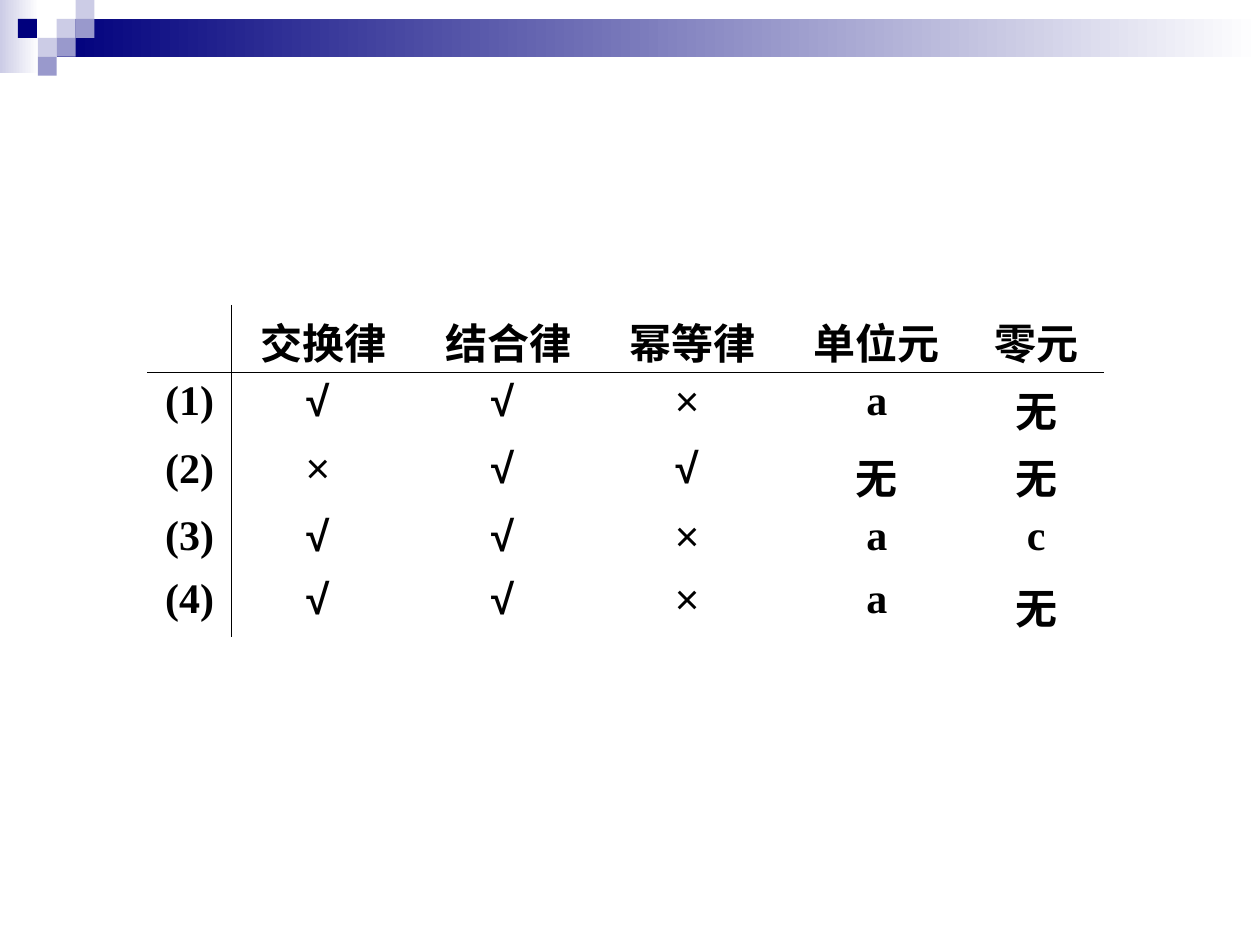
from lxml import etree
from pptx import Presentation
from pptx.dml.color import RGBColor
from pptx.enum.shapes import MSO_SHAPE
from pptx.enum.text import PP_ALIGN
from pptx.oxml.ns import qn
from pptx.util import Inches, Pt

RECTANGLE = MSO_SHAPE.RECTANGLE
CENTER = PP_ALIGN.CENTER
NAVY, LILAC, PALE, WHITE, BLACK = "00007D", "9999CC", "CCCCE6", "FFFFFF", "000000"
SQUARE = 0.15


def paint(color_format, color):
    color_format.rgb = RGBColor.from_string(color)


def add_block(left, top, width, height, *colors):
    block = slide.shapes.add_shape(
        RECTANGLE, Inches(left), Inches(top), Inches(width), Inches(height))
    block.shadow.inherit = False
    block.line.fill.background()
    if len(colors) == 1:
        block.fill.solid()
        paint(block.fill.fore_color, colors[0])
    else:
        block.fill.gradient()
        block.fill.gradient_angle = 0
        for stop, color in zip(block.fill.gradient_stops, colors):
            paint(stop.color, color)


deck = Presentation()
deck.slide_width, deck.slide_height = Inches(10), Inches(7.5)
slide = deck.slides.add_slide(deck.slide_layouts[6])

add_block(0, 0, 0.31, 0.58, PALE, WHITE)
add_block(3 * SQUARE, SQUARE, 10 - 3 * SQUARE, 2 * SQUARE, NAVY, WHITE)
mosaic = [(3, 1, PALE), (4, 0, PALE), (4, 1, LILAC), (2, 2, PALE),
          (0.95, 1, NAVY), (3, 2, LILAC), (2, 3, LILAC)]
for column, row, color in mosaic:
    add_block(column * SQUARE, row * SQUARE, SQUARE, SQUARE, color)

laws = [
    ["", "交换律", "结合律", "幂等律", "单位元", "零元"],
    ["(1)", "√ ", "√ ", "× ", "a", "无"],
    ["(2)", "× ", "√ ", "√ ", "无", "无"],
    ["(3)", "√ ", "√ ", "× ", "a", "c"],
    ["(4)", "√ ", "√ ", "× ", "a", "无"],
]
column_widths = [0.67, 1.46, 1.47, 1.46, 1.46, 1.07]
row_height = 0.5
table = slide.shapes.add_table(
    len(laws), len(column_widths), Inches(1.17), Inches(2.42),
    Inches(sum(column_widths)), Inches(row_height * len(laws))).table
table.first_row = table.horz_banding = False
for column, width in zip(table.columns, column_widths):
    column.width = Inches(width)

for r, entries in enumerate(laws):
    table.rows[r].height = Inches(row_height)
    for c, entry in enumerate(entries):
        cell = table.cell(r, c)
        cell.fill.background()
        cell.margin_bottom = 0
        paragraph = cell.text_frame.paragraphs[0]
        paragraph.alignment = CENTER
        paragraph.font.size = Pt(24)
        if entry:
            run = paragraph.add_run()
            run.text = entry
            run.font.size = Pt(24)
            run.font.bold = "×" not in entry
            run.font.name = "Arial" if entry.strip() in "√×" else "Times New Roman"
            paint(run.font.color, BLACK)

        ruled = {"a:lnL": c == 1, "a:lnR": c == 0, "a:lnT": r == 1, "a:lnB": r == 0}
        properties = cell._tc.get_or_add_tcPr()
        for position, (side, visible) in enumerate(ruled.items()):
            border = etree.Element(qn(side), w=str(Pt(0.45)))
            if visible:
                ink = etree.SubElement(border, qn("a:solidFill"))
                etree.SubElement(ink, qn("a:srgbClr"), val=BLACK)
            else:
                etree.SubElement(border, qn("a:noFill"))
            properties.insert(position, border)

deck.save("out.pptx")
